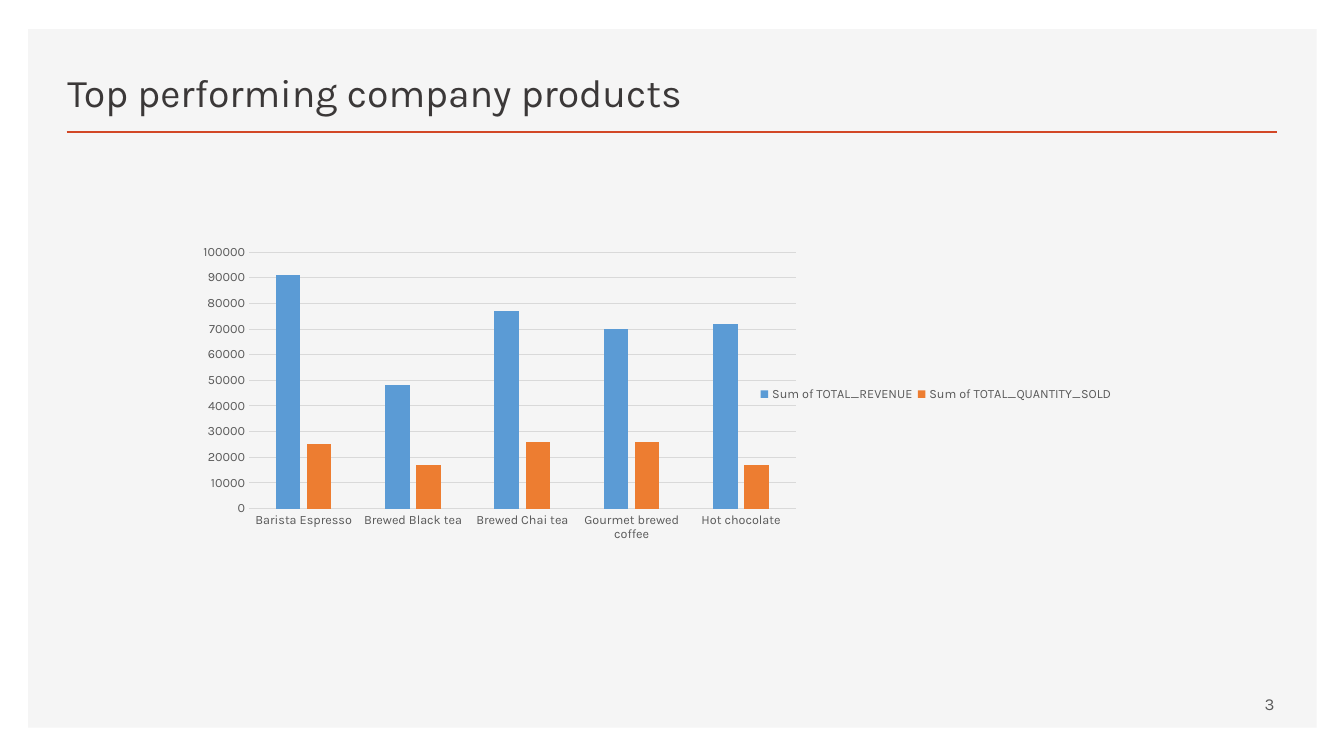
import dataclasses

import lxml.etree
import pptx
import pptx.chart.axis
import pptx.chart.chart
import pptx.chart.data
import pptx.dml.color
import pptx.dml.line
import pptx.enum.chart
import pptx.enum.shapes
import pptx.enum.text
import pptx.oxml.ns
import pptx.slide
import pptx.text.text
import pptx.util

FONT = "Karla"
COLORS = {
    "panel": "F5F5F5",
    "rule": "D24726",
    "title": "3B3838",
    "label": "595959",
    "grid": "D9D9D9",
    "revenue": "5B9BD5",
    "quantity": "ED7D31",
}


@dataclasses.dataclass(frozen=True)
class Area:
    left: float
    top: float
    width: float
    height: float

    def lengths(self) -> list[pptx.util.Length]:
        return [pptx.util.Inches(value) for value in dataclasses.astuple(self)]


@dataclasses.dataclass(frozen=True)
class Label:
    text: str
    area: Area
    size: int
    color: str
    anchor: pptx.enum.text.MSO_ANCHOR
    alignment: pptx.enum.text.PP_ALIGN


@dataclasses.dataclass(frozen=True)
class Measure:
    name: str
    values: tuple[int, ...]
    color: str


PANEL = Area(0.28, 0.29, 12.78, 6.93)
CHART = Area(1.49, 2.29, 10.53, 3.52)
PLOT = Area(0.093, 0.06, 0.515, 0.723)
LEGEND = Area(0.57, 0.43, 0.34, 0.06)
LABELS = (
    Label("Top performing company products", Area(0.57, 0.49, 7.52, 0.7), 28, "title",
          pptx.enum.text.MSO_ANCHOR.BOTTOM, pptx.enum.text.PP_ALIGN.LEFT),
    Label("3", Area(9.16, 6.78, 3.58, 0.4), 12, "label",
          pptx.enum.text.MSO_ANCHOR.MIDDLE, pptx.enum.text.PP_ALIGN.RIGHT),
)
PRODUCTS = ("Barista Espresso", "Brewed Black tea", "Brewed Chai tea",
            "Gourmet brewed coffee", "Hot chocolate")
MEASURES = (
    Measure("Sum of TOTAL_REVENUE", (91000, 48000, 77000, 70000, 72000), "revenue"),
    Measure("Sum of TOTAL_QUANTITY_SOLD", (25000, 17000, 26000, 26000, 17000), "quantity"),
)


def rgb(name: str) -> pptx.dml.color.RGBColor:
    return pptx.dml.color.RGBColor.from_string(COLORS[name])


def style_font(font: pptx.text.text.Font, size: int, color: str) -> None:
    font.name = FONT
    font.size = pptx.util.Pt(size)
    font.color.rgb = rgb(color)


def style_line(line: pptx.dml.line.LineFormat, color: str, width: float) -> None:
    line.color.rgb = rgb(color)
    line.width = pptx.util.Pt(width)


def draw_panel(page: pptx.slide.Slide) -> None:
    panel = page.shapes.add_shape(pptx.enum.shapes.MSO_SHAPE.RECTANGLE, *PANEL.lengths())
    panel.shadow.inherit = False
    panel.fill.solid()
    panel.fill.fore_color.rgb = rgb("panel")
    panel.line.fill.background()


def draw_rule(page: pptx.slide.Slide) -> None:
    ends = [pptx.util.Inches(value) for value in (0.66, 1.31, 12.67, 1.31)]
    rule = page.shapes.add_connector(pptx.enum.shapes.MSO_CONNECTOR.STRAIGHT, *ends)
    style_line(rule.line, "rule", 2)
    properties = rule.element.find(pptx.oxml.ns.qn("p:spPr"))
    lxml.etree.SubElement(properties, pptx.oxml.ns.qn("a:effectLst"))


def draw_label(page: pptx.slide.Slide, label: Label) -> None:
    box = page.shapes.add_textbox(*label.area.lengths())
    frame = box.text_frame
    frame.word_wrap = True
    frame.vertical_anchor = label.anchor
    para = frame.paragraphs[0]
    para.text = label.text
    para.alignment = label.alignment
    style_font(para.font, label.size, label.color)


def place_part(chart: pptx.chart.chart.Chart, tag: str, area: Area,
               index: int, inner: bool) -> None:
    part = next(chart.element.iter(pptx.oxml.ns.qn(tag)))
    for former in part.findall(pptx.oxml.ns.qn("c:layout")):
        part.remove(former)
    layout = lxml.etree.Element(pptx.oxml.ns.qn("c:layout"))
    manual = lxml.etree.SubElement(layout, pptx.oxml.ns.qn("c:manualLayout"))
    settings = {"layoutTarget": "inner"} if inner else {}
    settings |= {"xMode": "edge", "yMode": "edge", "x": area.left, "y": area.top,
                 "w": area.width, "h": area.height}
    for name, value in settings.items():
        lxml.etree.SubElement(manual, pptx.oxml.ns.qn(f"c:{name}"), val=str(value))
    part.insert(index, layout)


def style_axis(axis: pptx.chart.axis.CategoryAxis | pptx.chart.axis.ValueAxis) -> None:
    axis.major_tick_mark = pptx.enum.chart.XL_TICK_MARK.NONE
    axis.minor_tick_mark = pptx.enum.chart.XL_TICK_MARK.NONE
    style_font(axis.tick_labels.font, 9, "label")


def draw_chart(page: pptx.slide.Slide) -> None:
    data = pptx.chart.data.CategoryChartData()
    data.categories = PRODUCTS
    for measure in MEASURES:
        data.add_series(measure.name, measure.values)
    chart = page.shapes.add_chart(
        pptx.enum.chart.XL_CHART_TYPE.COLUMN_CLUSTERED, *CHART.lengths(), data).chart
    style_font(chart.font, 10, "label")
    chart.has_title = False

    plot = chart.plots[0]
    plot.vary_by_categories = False
    plot.gap_width = 219
    plot.overlap = -27
    for series, measure in zip(plot.series, MEASURES):
        series.format.fill.solid()
        series.format.fill.fore_color.rgb = rgb(measure.color)

    style_axis(chart.category_axis)
    style_line(chart.category_axis.format.line, "grid", 0.75)
    values = chart.value_axis
    style_axis(values)
    values.minimum_scale = 0
    values.maximum_scale = 100000
    values.major_unit = 10000
    values.format.line.fill.background()
    style_line(values.major_gridlines.format.line, "grid", 0.75)

    chart.has_legend = True
    chart.legend.position = pptx.enum.chart.XL_LEGEND_POSITION.RIGHT
    chart.legend.include_in_layout = False
    style_font(chart.legend.font, 9, "label")
    place_part(chart, "c:plotArea", PLOT, 0, True)
    place_part(chart, "c:legend", LEGEND, 1, False)


def main() -> None:
    deck = pptx.Presentation()
    deck.slide_width = pptx.util.Inches(13.33)
    deck.slide_height = pptx.util.Inches(7.5)
    page = deck.slides.add_slide(deck.slide_layouts[6])
    draw_panel(page)
    draw_rule(page)
    draw_chart(page)
    for label in LABELS:
        draw_label(page, label)
    deck.save("out.pptx")


if __name__ == "__main__":
    main()
